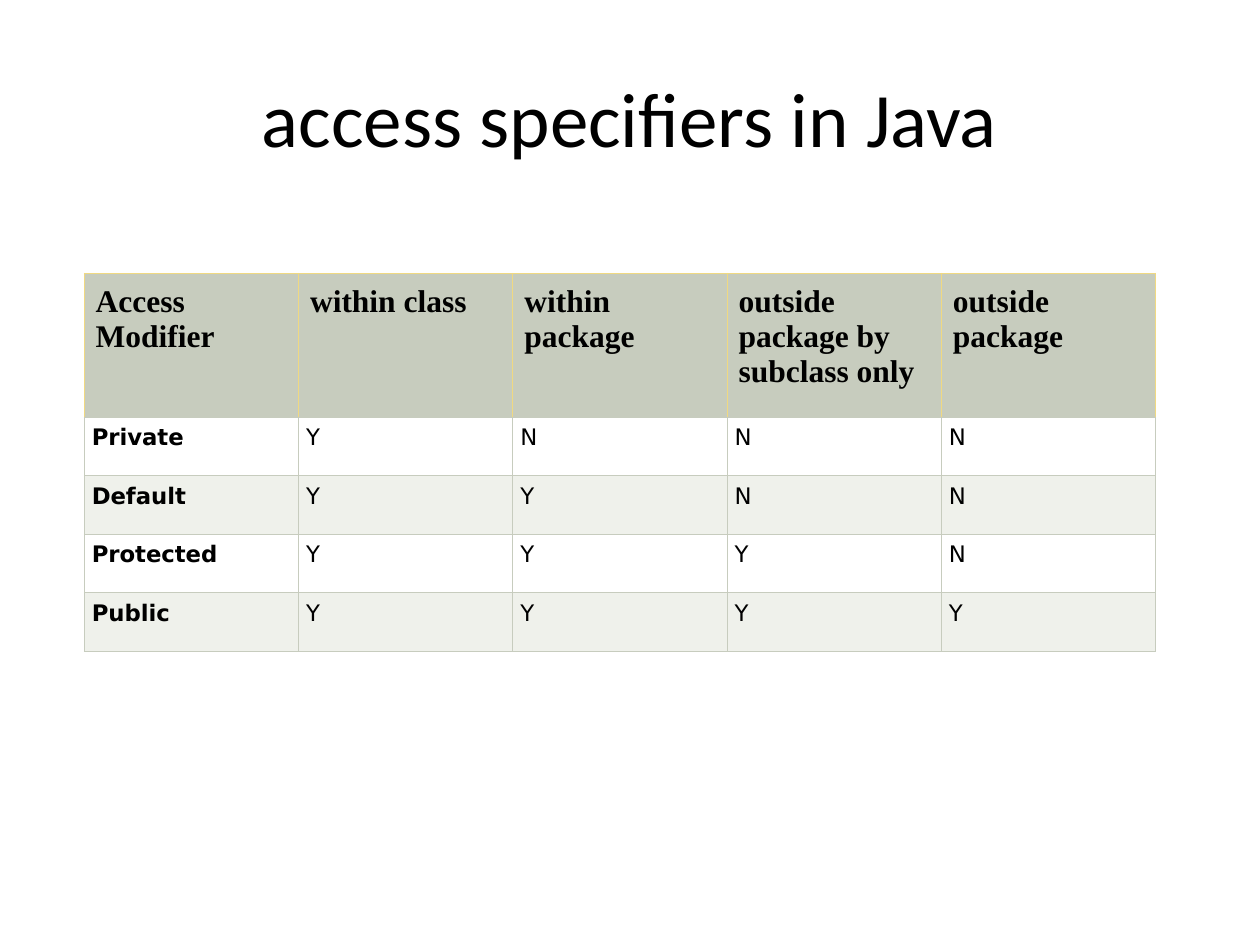
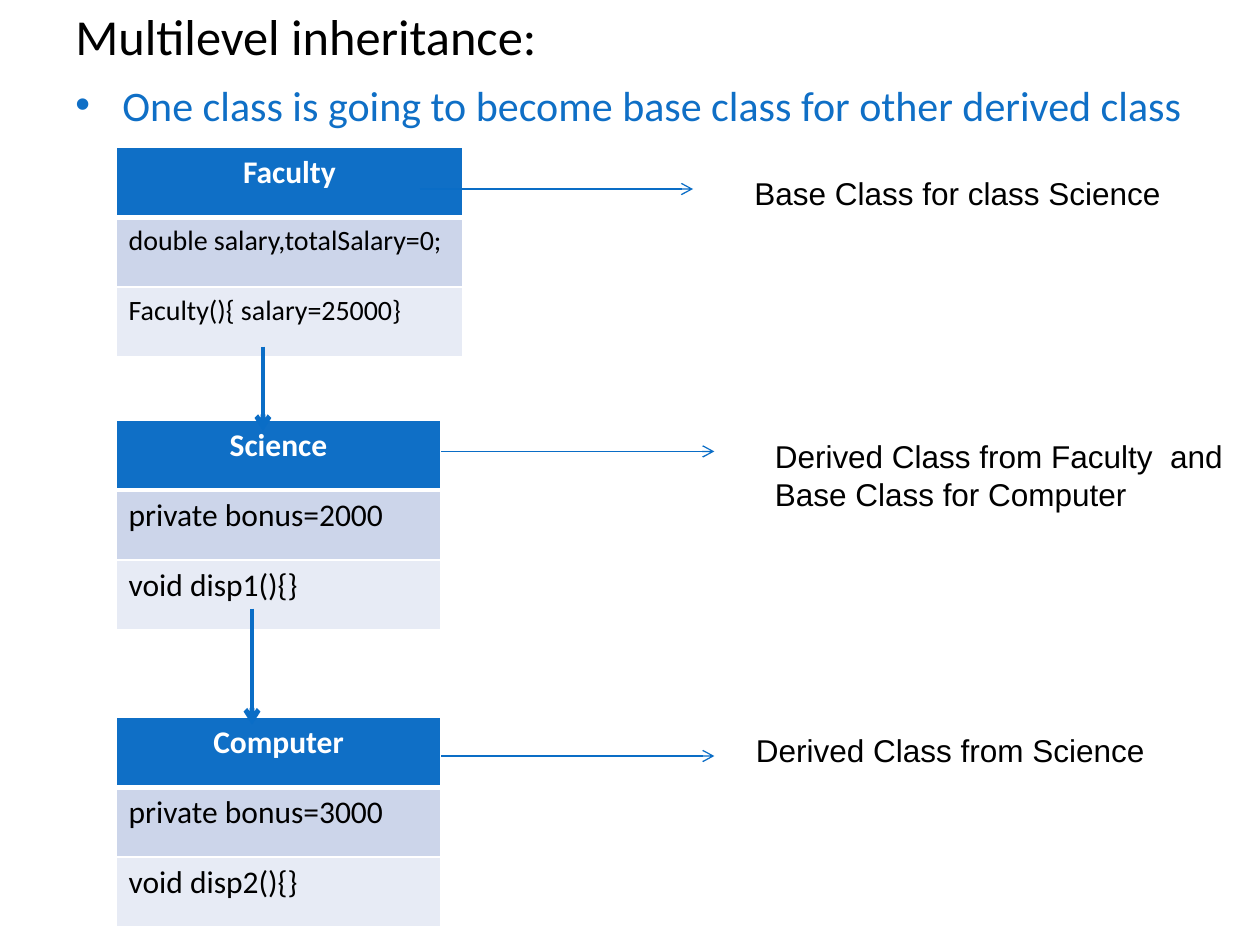
from lxml import etree
from pptx import Presentation
from pptx import util as u
from pptx.dml import color as dml
from pptx.enum import shapes, text
from pptx.oxml import ns

BLACK, WHITE = "000000", "FFFFFF"
BLUE, ARROW = "0F6FC6", "0A6DC6"
SAGE, GOLD = "C7CCBE", "F0D982"
LEFT, MID = text.PP_ALIGN.LEFT, text.PP_ALIGN.CENTER

ACCESS = [
    ["Access Modifier", "within class", "within package",
     "outside package by subclass only", "outside package"],
    ["Private", *"YNNN"],
    ["Default", *"YYNN"],
    ["Protected", *"YYYN"],
    ["Public", *"YYYY"],
]
CLASSES = [
    (2.97, 6.99, 16, ["Faculty", "double salary,totalSalary=0;",
                      "Faculty(){ salary=25000}"]),
    (8.47, 6.55, 18, ["Science", "private bonus=2000", "void disp1(){}"]),
    (14.46, 6.55, 18, ["Computer", "private bonus=3000", "void disp2(){}"]),
]
NOTES = [
    (8.46, 3.81, 14.96, 3.39, "Base Class for class Science"),
    (8.89, 9.1, 15.37, 8.69,
     "Derived Class from Faculty  and\nBase Class for Computer"),
    (8.89, 15.24, 14.99, 14.61, "Derived Class from Science"),
]
DROPS = [(5.3, 6.99, 8.69), (5.08, 12.27, 14.61)]


def tint(code):
    return dml.RGBColor.from_string(code)


def write(frame, words, font="Calibri", size=18, color=BLACK, bold=False,
          align=LEFT):
    frame.word_wrap = True
    for i, line in enumerate(words.split("\n")):
        para = frame.add_paragraph() if i else frame.paragraphs[0]
        para.alignment = align
        run = para.add_run()
        run.text = line
        run.font.name = font
        run.font.size = u.Pt(size)
        run.font.bold = bold
        run.font.color.rgb = tint(color)


def label(slide, words, left, top, width, height, mid=False, **form):
    box = slide.shapes.add_textbox(*map(u.Cm, (left, top, width, height)))
    frame = box.text_frame
    if mid:
        frame.vertical_anchor = text.MSO_ANCHOR.MIDDLE
    write(frame, words, **form)
    return frame


def title(slide, words, top, height, **form):
    label(slide, words, 1.27, top, 22.86, height, mid=True, **form)


def bullet(para):
    props = para._p.get_or_add_pPr()
    props.set("marL", str(u.Cm(0.95)))
    props.set("indent", str(-u.Cm(0.95)))
    etree.SubElement(props, ns.qn("a:buFont")).set("typeface", "Arial")
    etree.SubElement(props, ns.qn("a:buChar")).set("char", "•")


def edge(cell, **sides):
    props = cell._tc.get_or_add_tcPr()
    for side in "LRTB":
        color, width = sides[side]
        line = etree.SubElement(props, ns.qn("a:ln" + side))
        line.set("w", str(u.Pt(width)))
        fill = etree.SubElement(line, ns.qn("a:solidFill"))
        etree.SubElement(fill, ns.qn("a:srgbClr")).set("val", color)


def paint(cell, words, fill, sides, inset=None, **form):
    edge(cell, **sides)
    cell.fill.solid()
    cell.fill.fore_color.rgb = tint(fill)
    if inset:
        pad = u.Cm(inset)
        cell.margin_left = cell.margin_right = pad
        cell.margin_top = cell.margin_bottom = pad
    write(cell.text_frame, words, **form)


def grid(slide, left, top, widths, heights):
    size = map(u.Cm, (left, top, sum(widths), sum(heights)))
    table = slide.shapes.add_table(len(heights), len(widths), *size).table
    table.horz_banding = False
    for col, width in zip(table.columns, widths):
        col.width = u.Cm(width)
    for row, height in zip(table.rows, heights):
        row.height = u.Cm(height)
    return table


def access(slide):
    table = grid(slide, 1.7, 5.51, [4.32] * 5, [2.9] + [1.18] * 4)
    plain = dict.fromkeys("LRTB", (SAGE, 0.75))
    gold = {**dict.fromkeys("LRT", (GOLD, 0.75)), "B": (SAGE, 0.75)}
    for r, row in enumerate(ACCESS):
        for c, words in enumerate(row):
            cell = table.cell(r, c)
            if r == 0:
                paint(cell, words, SAGE, gold, 0.23,
                      font="Times New Roman", bold=True)
            else:
                paint(cell, words, WHITE if r % 2 else "EFF1EB", plain, 0.15,
                      font="DejaVu Sans", size=13, bold=c == 0)


def card(slide, top, width, size, rows):
    table = grid(slide, 2.34, top, [width], [1.41] * 3)
    thin, thick = (WHITE, 1), (WHITE, 3)
    fills = [BLUE, "CCD5EA", "E7EBF5"]
    for r, (words, fill) in enumerate(zip(rows, fills)):
        sides = {"L": thin, "R": thin, "T": thick if r == 1 else thin,
                 "B": thick if r == 0 else thin}
        form = (dict(color=WHITE, bold=True, align=MID) if r == 0
                else dict(size=size))
        paint(table.cell(r, 0), words, fill, sides, **form)


def arrow(slide, x1, y1, x2, y2, width):
    link = slide.shapes.add_connector(shapes.MSO_CONNECTOR.STRAIGHT,
                                      *map(u.Cm, (x1, y1, x2, y2)))
    link.line.color.rgb = tint(ARROW)
    link.line.width = u.Pt(width)
    line = link.line._get_or_add_ln()
    etree.SubElement(line, ns.qn("a:tailEnd")).set("type", "arrow")
    etree.SubElement(link._element.spPr, ns.qn("a:effectLst"))


def levels(slide):
    frame = label(
        slide, "One class is going to become base class for other derived class",
        1.27, 1.47, 24.13, 1.27, size=24, color=BLUE)
    bullet(frame.paragraphs[0])
    for item in CLASSES:
        card(slide, *item)
    for x, start, end in DROPS:
        arrow(slide, x, start, x, end, 2.75)
    for x, y, left, top, words in NOTES:
        arrow(slide, x, y, x + 5.51, y, 0.75)
        label(slide, words, left, top, 9.8, 1.03 + 0.77 * words.count("\n"),
              font="Arial")


def main():
    deck = Presentation()
    deck.slide_width, deck.slide_height = u.Cm(25.4), u.Cm(19.05)
    blank = deck.slide_layouts[6]

    first = deck.slides.add_slide(blank)
    title(first, "access specifiers in Java", 0.76, 3.18, size=44, align=MID)
    access(first)

    second = deck.slides.add_slide(blank)
    title(second, "Multilevel inheritance:", 0.15, 1.14, size=28.8)
    levels(second)

    deck.save("out.pptx")


if __name__ == "__main__":
    main()
